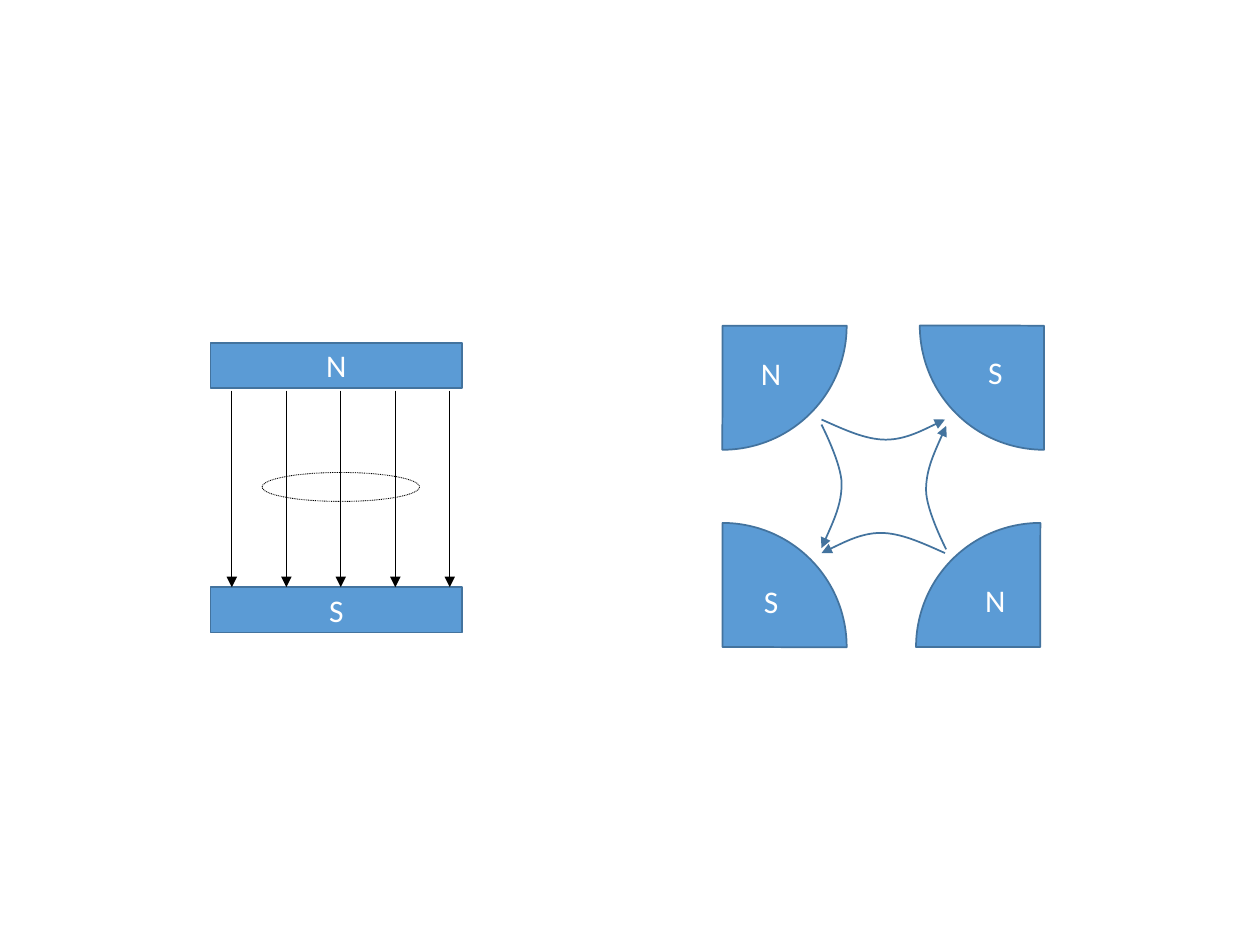
import pptx
import pptx.util
import pptx.dml.color
import pptx.enum.dml
import pptx.enum.shapes
import pptx.enum.text
import pptx.oxml
import pptx.oxml.ns
import lxml.etree

Inches = pptx.util.Inches
RGB = pptx.dml.color.RGBColor
SHAPE = pptx.enum.shapes.MSO_SHAPE
qn = pptx.oxml.ns.qn

BLUE = RGB(0x5B, 0x9B, 0xD5)
EDGE = RGB(0x43, 0x73, 0x9E)
BLACK = RGB(0, 0, 0)
WHITE = RGB(255, 255, 255)

# Bézier nodes of a field curve: distance along it, depth of the bow
BOW = [(0, 0), (0.18, 0.08), (0.35, 0.16), (0.51, 0.16),
       (0.67, 0.16), (0.98, 0), (0.98, 0)]


def write(shape, text, size=18, color=WHITE, font="Calibri", anchor="MIDDLE"):
    frame = shape.text_frame
    frame.word_wrap = True
    frame.vertical_anchor = pptx.enum.text.MSO_ANCHOR[anchor]
    para = frame.paragraphs[0]
    para.alignment = pptx.enum.text.PP_ALIGN.CENTER
    run = para.add_run()
    run.text = text
    run.font.size = pptx.util.Pt(size)
    run.font.name = font
    run.font.color.rgb = color


class Board:
    """Draws styled elements on the current slide."""

    def __init__(self, slide, fill=BLUE, edge=EDGE):
        self.shapes = slide.shapes
        self.fill = fill
        self.edge = edge

    def stroke(self, item, color, width, end=None):
        """Set the line; end is headEnd or tailEnd for an arrowhead."""
        item.line.color.rgb = color
        item.line.width = pptx.util.Pt(width)
        if end:
            line = item.line._get_or_add_ln()
            lxml.etree.SubElement(line, qn(f"a:{end}"), type="triangle")

    def solid(self, kind, *box):
        shape = self.shapes.add_shape(kind, *map(Inches, box))
        shape.shadow.inherit = False
        shape.fill.solid()
        shape.fill.fore_color.rgb = self.fill
        self.stroke(shape, self.edge, 1)
        return shape

    def bar(self, text, top):
        write(self.solid(SHAPE.RECTANGLE, 1.67, top, 2, 0.36), text)

    def pole(self, left, top, turn):
        shape = self.solid(SHAPE.PIE, left, top, 1.97, 1.97)
        shape.adjustments[0] = 0
        shape.adjustments[1] = 54.07
        shape.rotation = turn

    def label(self, text, left, top):
        box = self.shapes.add_textbox(*map(Inches, (left, top, 0.6, 0.4)))
        write(box, text, anchor="TOP")

    def ring(self, *box):
        shape = self.solid(SHAPE.OVAL, *box)
        shape.fill.background()
        self.stroke(shape, BLACK, 0.5)
        shape.line.dash_style = pptx.enum.dml.MSO_LINE.ROUND_DOT

    def arrow(self, x, top, foot):
        ends = map(Inches, (x, top, x, foot))
        line = self.shapes.add_connector(
            pptx.enum.shapes.MSO_CONNECTOR.STRAIGHT, *ends)
        self.stroke(line, BLACK, 0.5, "tailEnd")
        lxml.etree.SubElement(line._element.spPr, qn("a:effectLst"))

    def curve(self, x, y, along, bow, end):
        """Draw a bowed arrow from x, y; along and bow are unit vectors."""
        nodes = [(Inches(x + along[0] * a + bow[0] * b),
                  Inches(y + along[1] * a + bow[1] * b)) for a, b in BOW]
        build = self.shapes.build_freeform(*nodes[0], scale=1.0)
        build.add_line_segments(nodes[1:], close=False)
        shape = build.convert_to_shape()
        steps = list(shape._element.iter(qn("a:lnTo")))
        for first in range(0, len(steps), 3):
            bend, *rest = steps[first:first + 3]
            cubic = pptx.oxml.parse_xml(
                f'<a:cubicBezTo {pptx.oxml.ns.nsdecls("a")}/>')
            bend.addprevious(cubic)
            for step in (bend, *rest):
                cubic.append(step[0])
                step.getparent().remove(step)
        shape.shadow.inherit = False
        shape.fill.background()
        self.stroke(shape, self.edge, 1, end)


def main():
    deck = pptx.Presentation()
    deck.slide_width, deck.slide_height = Inches(10), Inches(7.5)
    board = Board(deck.slides.add_slide(deck.slide_layouts[6]))

    # Uniform field between two bar magnets
    board.bar("N", 2.72)
    board.bar("S", 4.66)
    for i in range(5):
        board.arrow(1.84 + i * 1.73 / 4, 3.1, 4.66)
    board.ring(2.08, 3.75, 1.25, 0.23)

    # Four poles
    for left, top, turn in [(4.75, 4.15, 270), (7.27, 4.15, 180),
                            (7.3, 1.6, 90), (4.75, 1.6, 0)]:
        board.pole(left, top, turn)
    for text, left, top in [("N", 5.82, 2.76), ("N", 7.6, 4.56),
                            ("S", 5.82, 4.57), ("S", 7.6, 2.75)]:
        board.label(text, left, top)

    # Field curves from each N to each S
    board.curve(6.52, 3.33, (1, 0), (0, 1), "tailEnd")
    board.curve(6.52, 4.35, (0, -1), (1, 0), "headEnd")
    board.curve(7.51, 3.38, (0, 1), (-1, 0), "headEnd")
    board.curve(7.5, 4.39, (-1, 0), (0, -1), "tailEnd")

    deck.save("out.pptx")


if __name__ == "__main__":
    main()
